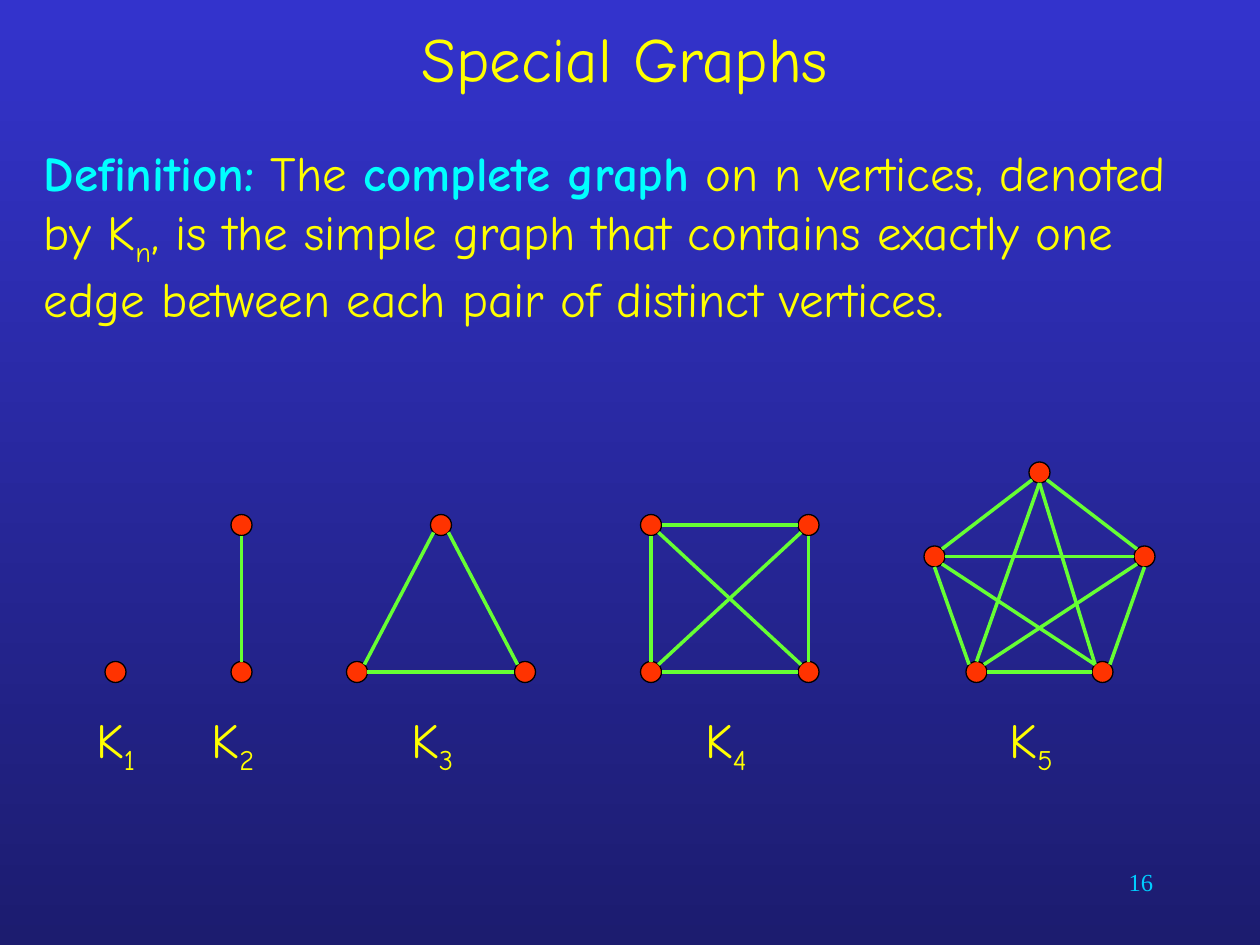
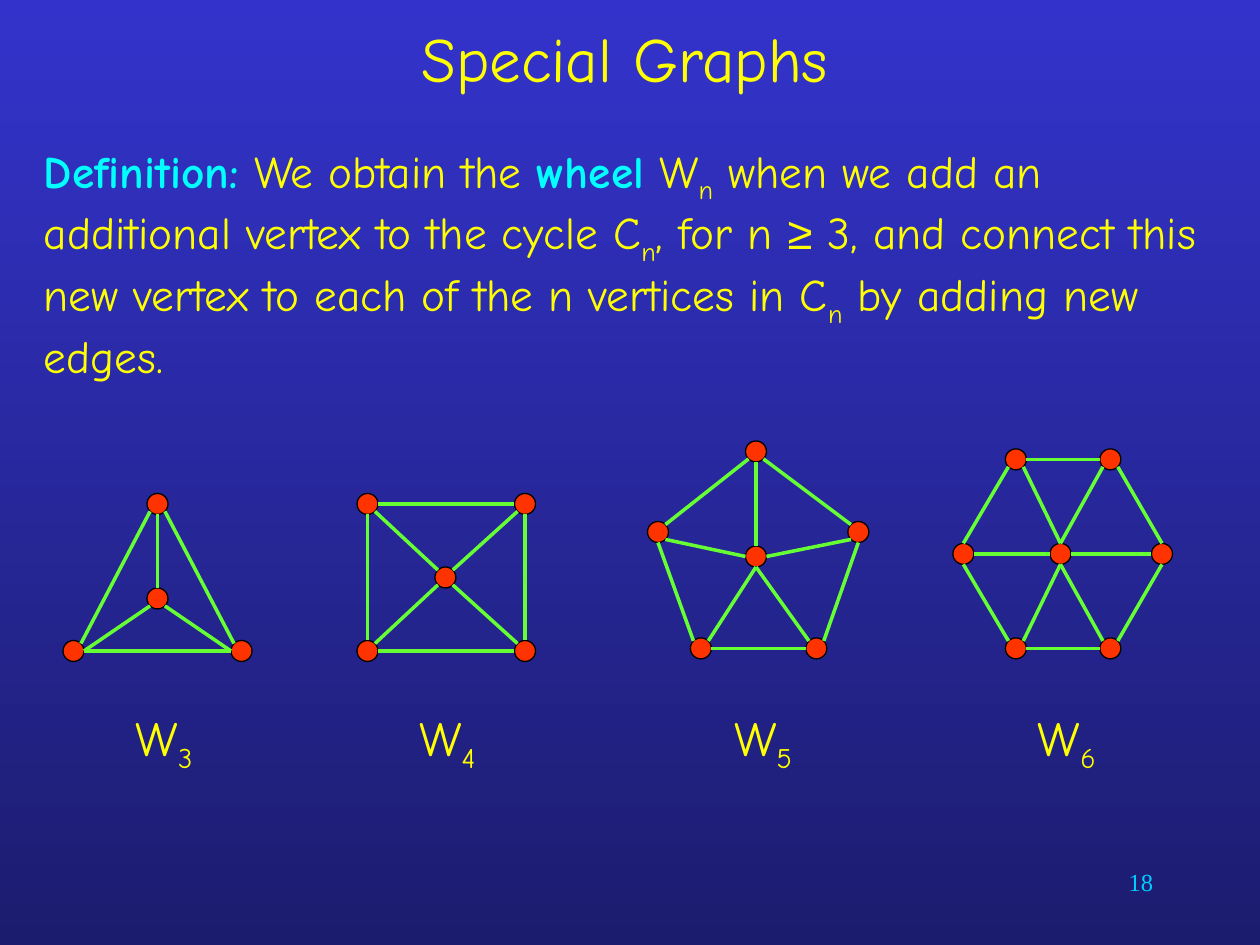
from dataclasses import dataclass, field
from itertools import combinations
from math import atan2, cos, pi, sin
from typing import NamedTuple

from lxml import etree
from pptx import Presentation
from pptx.dml.color import RGBColor
from pptx.enum.shapes import MSO_CONNECTOR, MSO_SHAPE
from pptx.enum.text import MSO_ANCHOR, PP_ALIGN
from pptx.oxml.ns import qn
from pptx.util import Pt

LINE = MSO_CONNECTOR.STRAIGHT
DOT = MSO_SHAPE.FLOWCHART_CONNECTOR
LEFT, CENTER, RIGHT = PP_ALIGN.LEFT, PP_ALIGN.CENTER, PP_ALIGN.RIGHT
TOP, MIDDLE = MSO_ANCHOR.TOP, MSO_ANCHOR.MIDDLE

COLORS = {
    "bg_top": "3333CC", "bg_bottom": "1C1C6F", "text": "FFFF00",
    "term": "00FFFF", "number": "00CCFF", "vertex": "FF3300",
    "outline": "000000", "edge": "66FF33",
}
FONT, NUMBER_FONT, SYMBOL_FONT = "Comic Neue", "Times New Roman", "Arial"
RADIUS = 6
COMPASS = ["E", "SE", "S", "SW", "W", "NW", "N", "NE"]


class Run(NamedTuple):
    text: str
    style: str = ""  # "term", "sub" or "symbol"


class Box(NamedTuple):
    left: float
    top: float
    width: float
    height: float


@dataclass
class Graph:
    letter: str
    index: int
    label: Box
    vertices: list[tuple[float, float]]  # clockwise; a wheel's hub comes last
    # (vertex, neighbour) -> side of the vertex where that edge is attached
    ports: dict[tuple[int, int], str] = field(default_factory=dict)

    def edges(self) -> list[tuple[int, int]]:
        if self.letter == "K":
            return list(combinations(range(self.index), 2))
        rim = [(i, (i + 1) % self.index) for i in range(self.index)]
        return rim + [(i, self.index) for i in range(self.index)]

    def port(self, vertex: int, neighbour: int) -> tuple[float, float]:
        """Point on the vertex outline nearest the neighbour, in 45° steps."""
        (x, y), (x2, y2) = self.vertices[vertex], self.vertices[neighbour]
        side = self.ports.get((vertex, neighbour))
        step = COMPASS.index(side) if side else round(atan2(y2 - y, x2 - x) / (pi / 4))
        angle = step * pi / 4
        return x + RADIUS * cos(angle), y + RADIUS * sin(angle)


@dataclass
class GraphSlide:
    number: int
    size: float
    definition: list[Run]
    graphs: list[Graph]


def rgb(name: str) -> RGBColor:
    return RGBColor.from_string(COLORS[name])


def add_text(s, box: Box, runs: list[Run], size: float, color: str = "text",
             font: str = FONT, align=LEFT, anchor=TOP) -> None:
    tf = s.shapes.add_textbox(*map(Pt, box)).text_frame
    tf.word_wrap = True
    tf.vertical_anchor = anchor
    p = tf.paragraphs[0]
    p.alignment = align
    p.font.size = Pt(size)
    p.font.name = font
    p.font.color.rgb = rgb(color)
    for run in runs:
        r = p.add_run()
        r.text = run.text
        if run.style == "term":
            r.font.bold = True
            r.font.color.rgb = rgb("term")
        elif run.style == "sub":
            r.font._element.set("baseline", "-25000")
        elif run.style == "symbol":
            r.font.name = SYMBOL_FONT


def add_edge(s, start: tuple[float, float], end: tuple[float, float]) -> None:
    line = s.shapes.add_connector(LINE, *map(Pt, start + end))
    line.line.color.rgb = rgb("edge")
    line.line.width = Pt(2)
    etree.SubElement(line._element.spPr, qn("a:effectLst"))


def add_vertex(s, x: float, y: float) -> None:
    sp = s.shapes.add_shape(DOT, Pt(x - RADIUS), Pt(y - RADIUS), Pt(2 * RADIUS), Pt(2 * RADIUS))
    sp.shadow.inherit = False
    sp.fill.solid()
    sp.fill.fore_color.rgb = rgb("vertex")
    sp.line.color.rgb = rgb("outline")
    sp.line.width = Pt(0.75)


def add_graph(s, graph: Graph) -> None:
    for x, y in graph.vertices:
        add_vertex(s, x, y)
    for a, b in graph.edges():
        add_edge(s, graph.port(a, b), graph.port(b, a))
    add_text(s, graph.label, [Run(graph.letter), Run(str(graph.index), "sub")], 28)


def add_slide(prs, content: GraphSlide) -> None:
    s = prs.slides.add_slide(prs.slide_layouts[6])
    fill = s.background.fill
    fill.gradient()
    fill.gradient_angle = 270
    for stop, name in zip(fill.gradient_stops, ("bg_top", "bg_bottom")):
        stop.color.rgb = rgb(name)
    add_text(s, Box(516, 492, 150, 36), [Run(str(content.number))], 14,
             "number", NUMBER_FONT, RIGHT)
    add_text(s, Box(18, 0, 678, 66), [Run("Special Graphs")], 36,
             align=CENTER, anchor=MIDDLE)
    add_text(s, Box(18, 78, 690, 150), content.definition, content.size)
    for graph in content.graphs:
        add_graph(s, graph)


def k_label(left: float) -> Box:
    return Box(left, 402, 48, 45)


def w_label(left: float, width: float = 62) -> Box:
    return Box(left, 400.5, width, 45)


def rectangle(left: float, top: float, right: float, bottom: float) -> list[tuple[float, float]]:
    return [(left, top), (right, top), (right, bottom), (left, bottom)]


SLIDES = [
    GraphSlide(
        16, 28,
        [Run("Definition:", "term"), Run(" The "), Run("complete graph", "term"),
         Run(" on n vertices, denoted by K"), Run("n", "sub"),
         Run(", is the simple graph that contains exactly one edge between "
             "each pair of distinct vertices.")],
        [
            Graph("K", 1, k_label(48), [(66, 384)]),
            Graph("K", 2, k_label(114), [(138, 300), (138, 384)]),
            Graph("K", 3, k_label(228), [(252, 300), (300, 384), (204, 384)]),
            Graph("K", 4, k_label(396), rectangle(372, 300, 462, 384)),
            Graph("K", 5, k_label(570),
                  [(594, 270), (654, 318), (630, 384), (558, 384), (534, 318)],
                  {(3, 4): "NW", (2, 1): "NE", (2, 0): "NW"}),
        ],
    ),
    GraphSlide(
        18, 25.9,
        [Run("Definition:", "term"), Run(" We obtain the "), Run("wheel", "term"),
         Run(" W"), Run("n", "sub"),
         Run(" when we add an additional vertex to the cycle C"), Run("n", "sub"),
         Run(", for n "), Run("≥", "symbol"),
         Run(" 3, and connect this new vertex to each of the n vertices in C"),
         Run("n", "sub"), Run(" by adding new edges.")],
        [
            Graph("W", 3, w_label(70.5, 68),
                  [(90, 288), (138, 372), (42, 372), (90, 342)],
                  {(1, 3): "W", (2, 3): "E"}),
            Graph("W", 4, w_label(232.5),
                  rectangle(210, 288, 300, 372) + [(254.5, 330)]),
            Graph("W", 5, w_label(412.5),
                  [(432, 258), (490.5, 304), (466.5, 370.5), (400.5, 370.5),
                   (376, 304), (432, 318)],
                  {(3, 4): "NW", (2, 1): "NE", (5, 3): "S", (5, 2): "S",
                   (4, 5): "SE", (1, 5): "SW"}),
            Graph("W", 6, w_label(586),
                  [(580.5, 262.5), (634.5, 262.5), (664, 316.5), (634.5, 370.5),
                   (580.5, 370.5), (550.5, 316.5), (606, 316.5)],
                  {(5, 4): "S", (2, 3): "S", (6, 4): "S", (6, 3): "S",
                   (5, 0): "N", (2, 1): "N", (6, 0): "N", (6, 1): "N"}),
        ],
    ),
]


def main() -> None:
    prs = Presentation()
    prs.slide_width, prs.slide_height = Pt(720), Pt(540)
    for content in SLIDES:
        add_slide(prs, content)
    prs.save("out.pptx")


if __name__ == "__main__":
    main()
